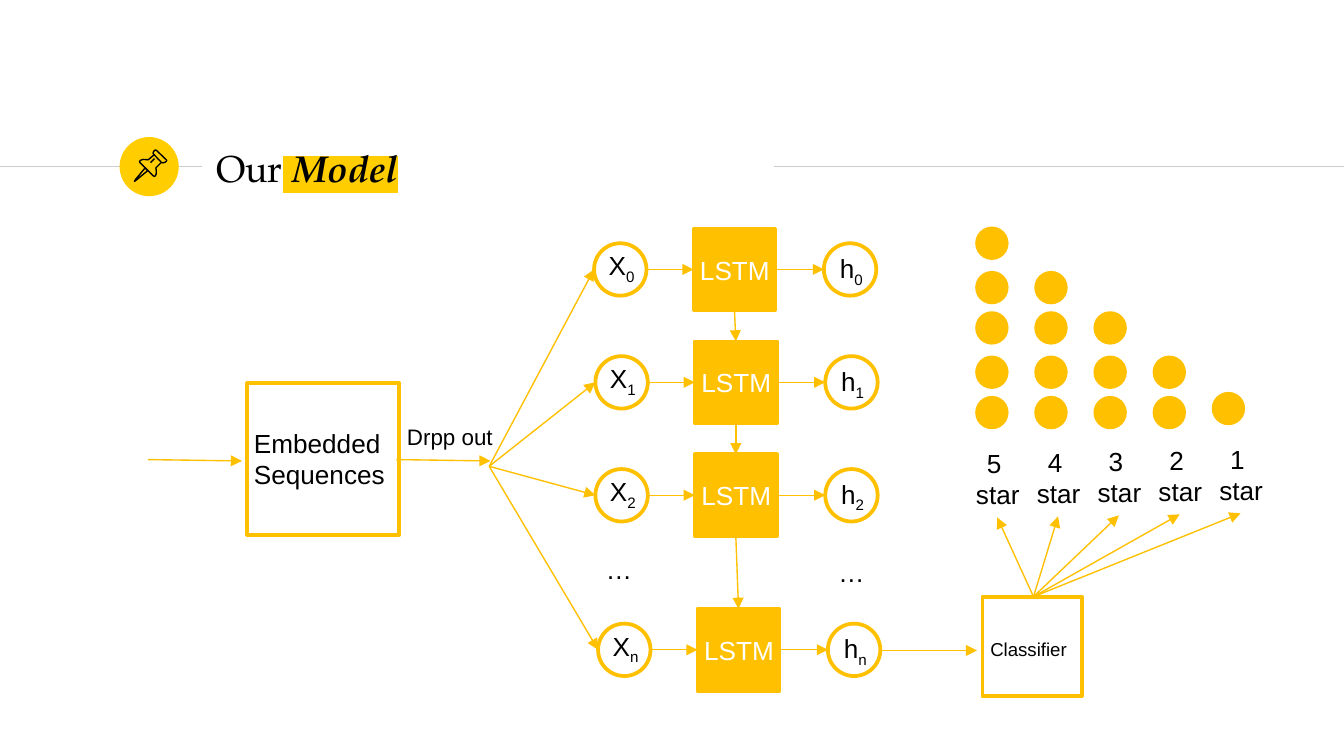
from dataclasses import dataclass

from lxml import etree
from pptx import Presentation
from pptx.dml.color import RGBColor
from pptx.enum.shapes import MSO_CONNECTOR, MSO_SHAPE
from pptx.enum.text import MSO_ANCHOR, MSO_AUTO_SIZE, PP_ALIGN
from pptx.oxml.ns import qn
from pptx.util import Cm, Pt

STRAIGHT = MSO_CONNECTOR.STRAIGHT
RECTANGLE, OVAL = MSO_SHAPE.RECTANGLE, MSO_SHAPE.OVAL
LEFT, CENTER = PP_ALIGN.LEFT, PP_ALIGN.CENTER
MIDDLE = MSO_ANCHOR.MIDDLE
GROW = MSO_AUTO_SIZE.SHAPE_TO_FIT_TEXT

Point = tuple[float, float]


@dataclass(frozen=True)
class Theme:
    amber: str = "FFC000"
    accent: str = "FFCD00"
    rule: str = "CCCCCC"
    ink: str = "000000"
    paper: str = "FFFFFF"
    body_font: str = "Arial"
    title_font: str = "TeX Gyre Pagella"
    title: int = 20
    body: int = 14
    caption: int = 12
    small: int = 10
    thin: float = 0.75
    thick: float = 2


@dataclass(frozen=True)
class Step:
    """One time step of the network: subscript, sideways shift and top edge."""
    index: str
    shift: float
    top: float


THEME = Theme()
CELL, NODE, DOT = 0.61, 0.39, 0.22
CELL_LEFT, INPUT_LEFT, OUTPUT_LEFT = 5.16, 4.42, 6.13
STEPS = [Step("0", 0, 1.7), Step("1", 0.01, 2.54),
         Step("2", 0.01, 3.38), Step("n", 0.03, 4.53)]
DOT_TOPS = [2.96, 2.66, 2.33, 2.03, 1.7]
SINGLE_DOT_TOP = 2.93
DROPOUT_POINT = (3.64, 3.47)
CLASSIFIER_TOP = (7.69, 4.44)

# Pushpin outlines in thousandths of an inch: needle, head, body, highlight
PIN_OUTLINES = [
    ([(1080, 1250), (1010, 1335), (1000, 1350), (1015, 1340), (1100, 1270)], True),
    ([(1145, 1150), (1200, 1208), (1212, 1212), (1228, 1208), (1238, 1200),
      (1240, 1192), (1165, 1120), (1157, 1116), (1149, 1120), (1142, 1130),
      (1139, 1140)], True),
    ([(1150, 1150), (1102, 1190), (1085, 1188), (1065, 1187), (1048, 1192),
      (1039, 1200), (1040, 1208), (1142, 1310), (1150, 1313), (1157, 1308),
      (1162, 1295), (1163, 1280), (1162, 1262), (1160, 1250), (1200, 1210)], False),
    ([(1120, 1210), (1150, 1180)], False),
]


def inches(value: float) -> Cm:
    return Cm(value * 2.54)


def color(code: str) -> RGBColor:
    return RGBColor.from_string(code)


def add_line(page, start: Point, end: Point, code: str, arrow: bool = False):
    line = page.shapes.add_connector(
        STRAIGHT, *(inches(value) for value in (*start, *end)))
    line.line.color.rgb = color(code)
    line.line.width = Pt(THEME.thin)
    if arrow:
        etree.SubElement(line.line._get_or_add_ln(), qn("a:tailEnd"), type="triangle")
    etree.SubElement(line._element.spPr, qn("a:effectLst"))


def add_arrow(page, start: Point, end: Point):
    add_line(page, start, end, THEME.amber, arrow=True)


def add_block(page, kind, left: float, top: float, size: float, fill: str,
              outline: str | None = THEME.amber):
    """Add a shape that is as wide as it is high."""
    block = page.shapes.add_shape(
        kind, inches(left), inches(top), inches(size), inches(size))
    block.shadow.inherit = False
    block.fill.solid()
    block.fill.fore_color.rgb = color(fill)
    if outline is None:
        block.line.fill.background()
    else:
        block.line.color.rgb = color(outline)
        block.line.width = Pt(THEME.thick)


def style_run(span, size: int, code: str = THEME.ink, font: str = THEME.body_font):
    span.font.size = Pt(size)
    span.font.name = font
    span.font.color.rgb = color(code)


def add_label(page, left: float, top: float, width: float, height: float, text: str,
              size: int = THEME.body, code: str = THEME.ink, align=LEFT,
              subscript: str = "", wrap: bool = False):
    box = page.shapes.add_textbox(
        inches(left), inches(top), inches(width), inches(height))
    frame = box.text_frame
    frame.text = text
    frame.word_wrap = wrap
    frame.auto_size = GROW
    if subscript:
        span = frame.paragraphs[0].add_run()
        span.text = subscript
        span.font._element.set("baseline", "-25000")
    for para in frame.paragraphs:
        para.alignment = align
        for span in para.runs:
            style_run(span, size, code)


def add_title(page):
    box = page.shapes.add_textbox(inches(1.51), inches(1.01), inches(4.24), inches(0.48))
    frame = box.text_frame
    frame.word_wrap = True
    frame.vertical_anchor = MIDDLE
    frame.margin_top = frame.margin_bottom = inches(0.1)
    frame.text = "Our"
    para = frame.paragraphs[0]
    marked = para.add_run()
    marked.text = " Model"
    marked.font.bold = marked.font.italic = True
    for span in para.runs:
        style_run(span, THEME.title, font=THEME.title_font)
    highlight = etree.Element(qn("a:highlight"))
    etree.SubElement(highlight, qn("a:srgbClr"), val=THEME.accent)
    marked.font._element.find(qn("a:solidFill")).addnext(highlight)


def add_header(page):
    add_line(page, (0, 1.24), (1.5, 1.24), THEME.rule)
    add_block(page, OVAL, 0.89, 1.02, 0.44, THEME.accent, outline=None)
    add_line(page, (5.76, 1.24), (10, 1.24), THEME.rule)
    add_title(page)
    for points, closed in PIN_OUTLINES:
        builder = page.shapes.build_freeform(*points[0], scale=inches(1) / 1000)
        builder.add_line_segments(points[1:], close=closed)
        outline = builder.convert_to_shape()
        outline.shadow.inherit = False
        outline.fill.background()
        outline.line.color.rgb = color(THEME.ink)
        outline.line.width = Pt(THEME.thin)


def add_step(page, step: Step):
    cell, source, result = (
        left + step.shift for left in (CELL_LEFT, INPUT_LEFT, OUTPUT_LEFT))
    node_top, middle = step.top + 0.11, step.top + CELL / 2
    add_block(page, RECTANGLE, cell, step.top, CELL, THEME.amber)
    add_label(page, cell - 0.05, step.top + 0.14, 0.72, 0.34, "LSTM", code=THEME.paper)
    add_block(page, OVAL, result, node_top, NODE, THEME.paper)
    add_label(page, result + 0.02, node_top + 0.02, 0.38, 0.34, "h", subscript=step.index)
    add_block(page, OVAL, source, node_top, NODE, THEME.paper)
    add_label(page, source + 0.01, node_top, 0.41, 0.34, "X", subscript=step.index)
    add_arrow(page, (source + NODE, middle), (cell, middle))
    add_arrow(page, (cell + CELL, middle), (result, middle))
    add_arrow(page, DROPOUT_POINT, (source, middle))


def add_network(page):
    for step in STEPS:
        add_step(page, step)
    center = CELL_LEFT + CELL / 2
    for upper, lower in zip(STEPS, STEPS[1:]):
        add_arrow(page, (center + upper.shift, upper.top + CELL),
                  (center + lower.shift, lower.top))
    add_label(page, 6.14, 4.09, 0.4, 0.34, "…")
    add_label(page, 4.41, 4.07, 0.4, 0.34, "…")


def add_embedding(page):
    add_arrow(page, (1.1, 3.42), (1.8, 3.43))
    add_block(page, RECTANGLE, 1.84, 2.85, 1.13, THEME.paper)
    add_label(page, 1.79, 3.13, 1.18, 0.57, "Embedded\nSequences")
    add_arrow(page, (2.95, 3.42), (3.65, 3.43))
    add_label(page, 2.93, 3.1, 0.96, 0.3, "Drpp out", THEME.caption, wrap=True)


def add_ratings(page):
    add_block(page, RECTANGLE, 7.31, 4.44, 0.74, THEME.paper)
    add_label(page, 7.27, 4.7, 0.78, 0.27, "Classifier", THEME.small)
    add_arrow(page, (6.54, 4.84), (7.27, 4.84))
    for column, stars in enumerate(range(5, 0, -1)):
        tops = DOT_TOPS[:stars] if stars > 1 else [SINGLE_DOT_TOP]
        for top in tops:
            add_block(page, OVAL, 7.27 + 0.44 * column, top, DOT, THEME.amber)
        left, top = 7.16 + 1.81 * column / 4, 3.28 - 0.03 * column / 4
        add_label(page, left, top, 0.53, 0.57, f"{stars} \nstar", align=CENTER)
        add_arrow(page, CLASSIFIER_TOP, (left + 0.26, top + 0.57))


def main():
    deck = Presentation()
    deck.slide_width = Cm(25.4)
    deck.slide_height = deck.slide_width * 9 // 16
    page = deck.slides.add_slide(deck.slide_layouts[6])
    add_header(page)
    add_network(page)
    add_embedding(page)
    add_ratings(page)
    deck.save("out.pptx")


if __name__ == "__main__":
    main()
